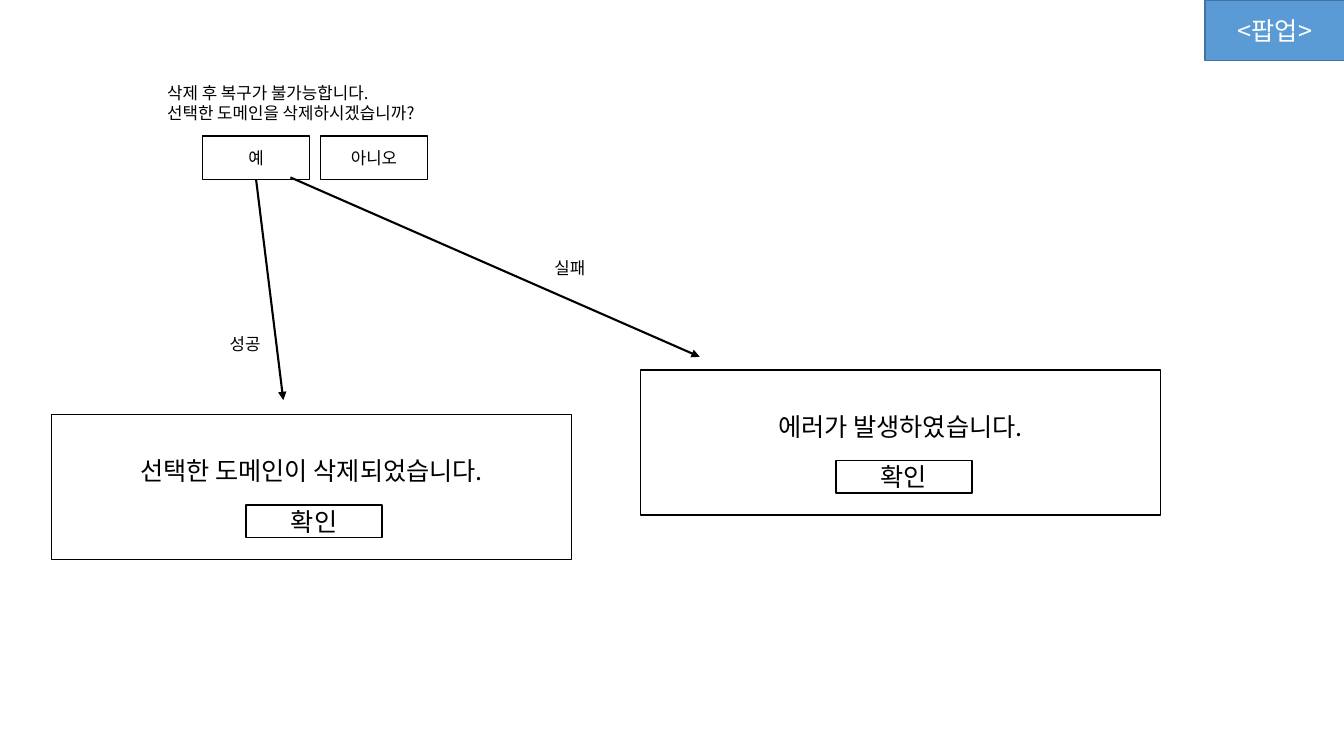
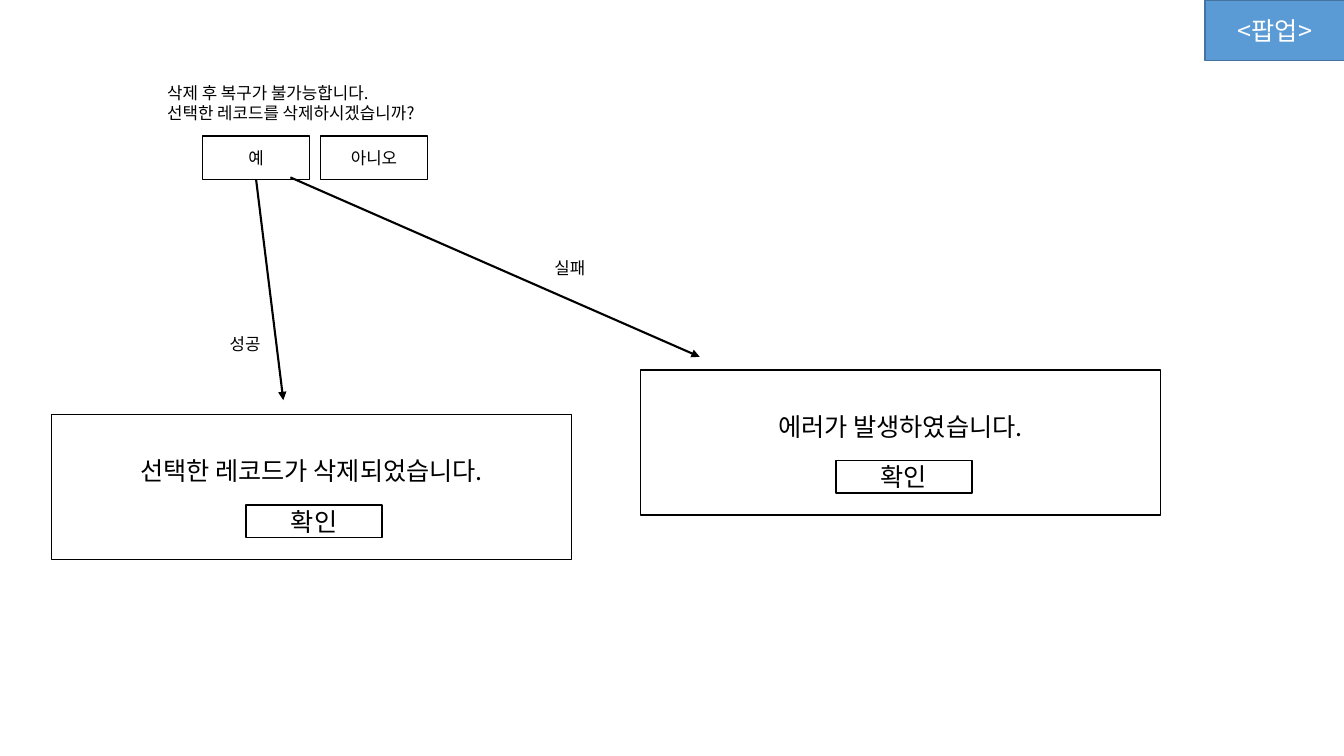
from lxml import etree
from pptx import Presentation
from pptx.dml.color import RGBColor
from pptx.enum.shapes import MSO_CONNECTOR, MSO_SHAPE
from pptx.enum.text import MSO_ANCHOR, PP_ALIGN
from pptx.oxml.ns import qn
from pptx.util import Inches, Pt

FONT = "Noto Sans CJK KR"
BLACK = RGBColor(0x00, 0x00, 0x00)
WHITE = RGBColor(0xFF, 0xFF, 0xFF)
BLUE = RGBColor(0x5B, 0x9B, 0xD5)
DARK_BLUE = RGBColor(0x43, 0x73, 0x9E)

POPUP_WIDTH, POPUP_HEIGHT = 5.16, 1.44
CONFIRM_TOP = 0.9  # from the top of its popup


def write(shape, text, size, color=BLACK, align=PP_ALIGN.LEFT):
    """Fill a shape with text and format every run."""
    shape.text_frame.word_wrap = True
    shape.text_frame.text = text
    for para in shape.text_frame.paragraphs:
        para.alignment = align
        for span in para.runs:
            span.font.size = Pt(size)
            span.font.color.rgb = color
            span.font.name = FONT
            etree.SubElement(span.font._element, qn("a:ea"), typeface=FONT)


def add_box(page, left, top, width, height, text, size,
            fill=None, line=BLACK, color=BLACK):
    """Add an outlined rectangle with centred text."""
    box = page.shapes.add_shape(MSO_SHAPE.RECTANGLE, Inches(left), Inches(top),
                                Inches(width), Inches(height))
    box.shadow.inherit = False
    if fill is None:
        box.fill.background()
    else:
        box.fill.solid()
        box.fill.fore_color.rgb = fill
    box.line.color.rgb = line
    box.line.width = Pt(1)
    box.text_frame.vertical_anchor = MSO_ANCHOR.MIDDLE
    write(box, text, size, color, PP_ALIGN.CENTER)
    return box


deck = Presentation()
deck.slide_width = Inches(13.33)
deck.slide_height = Inches(7.5)
blank_layout = deck.slide_layouts[6]

# The deleted item, with its object and subject particles
for item_object, item_subject in [("도메인을", "도메인이"), ("레코드를", "레코드가")]:
    page = deck.slides.add_slide(blank_layout)
    add_box(page, 11.95, 0, 1.39, 0.6, "<팝업>", 18, BLUE, DARK_BLUE, WHITE)

    for index, answer in enumerate(["예", "아니오"]):
        add_box(page, 2.01 + index * 1.17, 1.35, 1.06, 0.43, answer, 12)

    question = f"삭제 후 복구가 불가능합니다.\n선택한 {item_object} 삭제하시겠습니까?"
    for left, top, width, height, text in [
        (1.56, 0.77, 6.3, 0.51, question),
        (2.18, 3.26, 0.53, 0.3, "성공"),
        (5.4, 2.51, 0.53, 0.3, "실패"),
    ]:
        label = page.shapes.add_textbox(Inches(left), Inches(top),
                                        Inches(width), Inches(height))
        write(label, text, 12)

    for start_x, start_y, end_x, end_y in [
        (2.54, 1.78, 2.81, 3.97),
        (2.88, 1.76, 6.94, 3.54),
    ]:
        arrow = page.shapes.add_connector(
            MSO_CONNECTOR.STRAIGHT, Inches(start_x), Inches(start_y),
            Inches(end_x), Inches(end_y))
        arrow.line.color.rgb = BLACK
        arrow.line.width = Pt(1.5)
        etree.SubElement(arrow.line._get_or_add_ln(), qn("a:tailEnd"), type="triangle")
        etree.SubElement(arrow._element.spPr, qn("a:effectLst"))

    for left, top, message, confirm_left in [
        (0.51, 4.11, f"선택한 {item_subject} 삭제되었습니다.", 2.44),
        (6.35, 3.67, "에러가 발생하였습니다.", 8.29),
    ]:
        popup = add_box(page, left, top, POPUP_WIDTH, POPUP_HEIGHT, message, 18)
        popup.text_frame.margin_bottom = Inches(0.37)
        add_box(page, confirm_left, top + CONFIRM_TOP, 1.35, 0.32, "확인", 18, WHITE)

deck.save("out.pptx")
